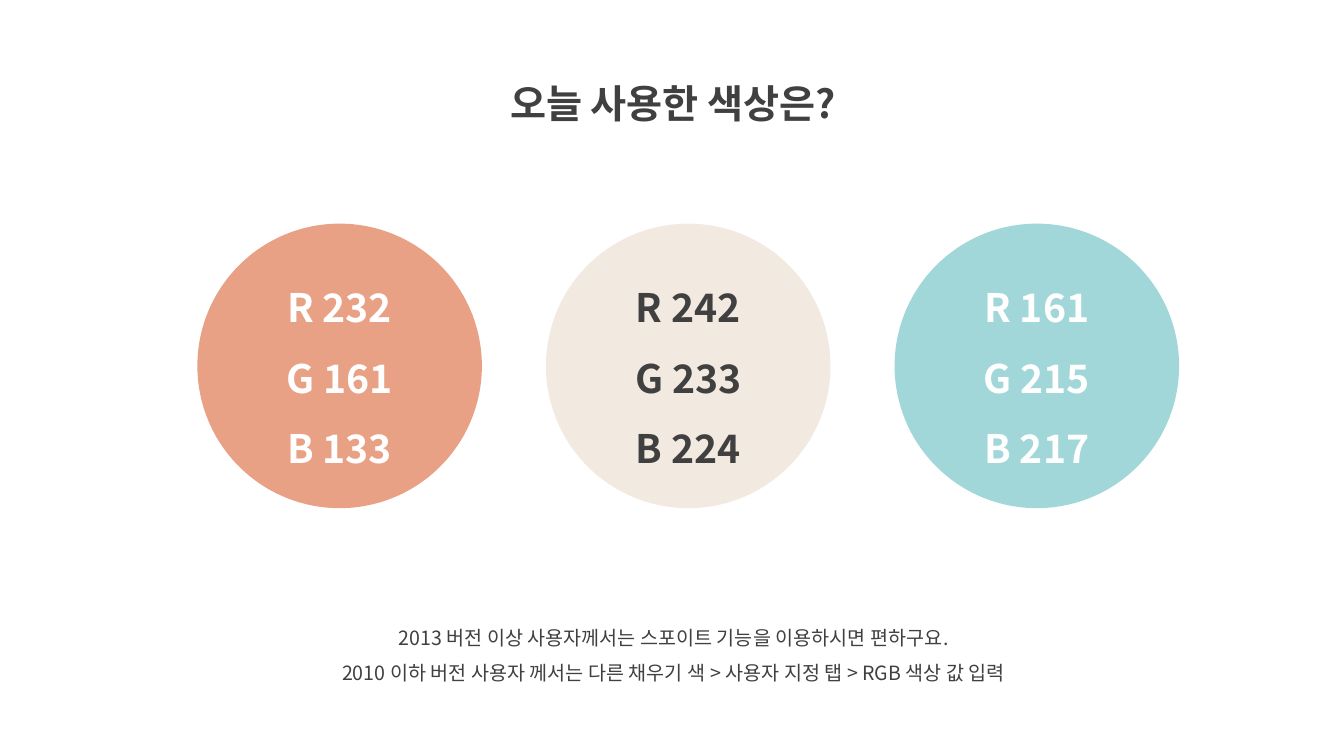
from lxml import etree
from pptx import Presentation
from pptx.dml.color import RGBColor
from pptx.enum.shapes import MSO_SHAPE
from pptx.enum.text import MSO_ANCHOR, MSO_AUTO_SIZE, PP_ALIGN
from pptx.oxml.ns import qn
from pptx.util import Pt

OVAL = MSO_SHAPE.OVAL
MIDDLE = MSO_ANCHOR.MIDDLE
GROW = MSO_AUTO_SIZE.SHAPE_TO_FIT_TEXT
CENTER = PP_ALIGN.CENTER

PX = 9525
FONT = "Noto Sans CJK KR"
DARK = RGBColor(0x40, 0x40, 0x40)
WHITE = RGBColor(0xFF, 0xFF, 0xFF)
CORAL = RGBColor(232, 161, 133)
CREAM = RGBColor(242, 233, 224)
AQUA = RGBColor(161, 215, 217)

CIRCLE_LEFT, CIRCLE_TOP, CIRCLE_SIZE, CIRCLE_STEP = 188, 213, 271, 332
SWATCHES = [(CORAL, WHITE), (CREAM, DARK), (AQUA, WHITE)]
NOTES = [
    "2013 버전 이상 사용자께서는 스포이트 기능을 이용하시면 편하구요.",
    "2010 이하 버전 사용자 께서는 다른 채우기 색 > 사용자 지정 탭 > RGB 색상 값 입력",
]


def px(*lengths):
    return [n * PX for n in lengths]


def write_lines(tf, lines, size, color, bold):
    tf.word_wrap = True
    for i, line in enumerate(lines):
        p = tf.paragraphs[0] if i == 0 else tf.add_paragraph()
        p.text = line
        p.alignment = CENTER
        p.line_spacing = 1.5
        font = p.font
        font.name = FONT
        font.size = Pt(size)
        font.bold = bold
        font.color.rgb = color
        latin = p._p.pPr.find(qn("a:defRPr")).find(qn("a:latin"))
        ea = etree.Element(qn("a:ea"), typeface=FONT)
        latin.addnext(ea)


def add_text(s, box, lines, size, bold=False):
    tf = s.shapes.add_textbox(*px(*box)).text_frame
    write_lines(tf, lines, size, DARK, bold)
    tf.auto_size = GROW


def add_swatch(s, left, fill, color):
    sp = s.shapes.add_shape(OVAL, *px(left, CIRCLE_TOP, CIRCLE_SIZE, CIRCLE_SIZE))
    sp.shadow.inherit = False
    sp.fill.solid()
    sp.fill.fore_color.rgb = fill
    sp.line.fill.background()
    tf = sp.text_frame
    tf.vertical_anchor = MIDDLE
    lines = [f"{channel} {value}" for channel, value in zip("RGB", fill)]
    write_lines(tf, lines, 28, color, True)


def main():
    prs = Presentation()
    prs.slide_width, prs.slide_height = px(1280, 720)
    s = prs.slides.add_slide(prs.slide_layouts[6])
    add_text(s, (419, 48, 444, 69), ["오늘 사용한 색상은?"], 28, bold=True)
    add_text(s, (258, 580, 767, 78), NOTES, 14)
    for i, (fill, color) in enumerate(SWATCHES):
        add_swatch(s, CIRCLE_LEFT + i * CIRCLE_STEP, fill, color)
    prs.save("out.pptx")


if __name__ == "__main__":
    main()
